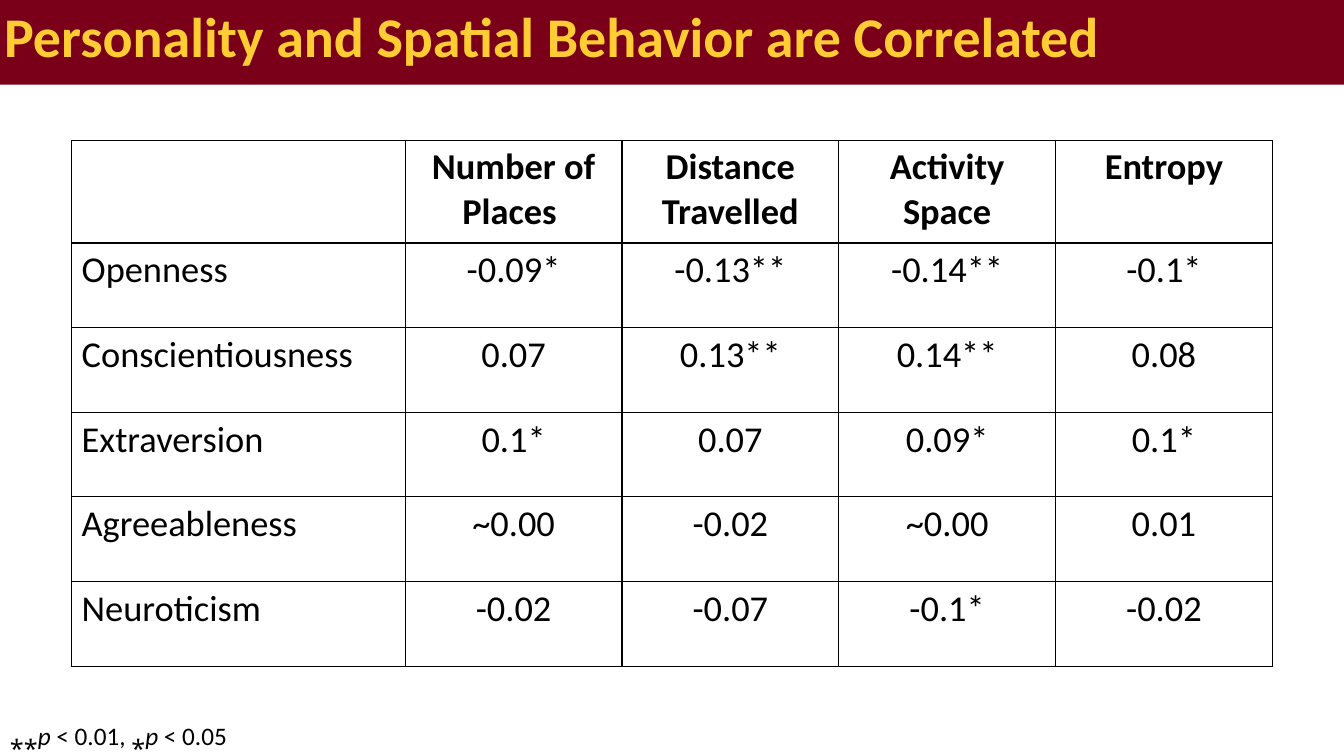
from dataclasses import dataclass

from lxml.etree import SubElement
from pptx import Presentation
from pptx.dml.color import RGBColor
from pptx.enum.text import MSO_ANCHOR, MSO_AUTO_SIZE, PP_ALIGN
from pptx.oxml.ns import qn
from pptx.slide import Slide
from pptx.table import _Cell
from pptx.text.text import _Run
from pptx.util import Emu, Pt

PX = 9144
FONT = "Calibri"
COLORS = {"bar": "7A0019", "title": "FFCC33", "ink": "000000"}
COLS = [331, 215, 215, 215, 215]
HEAD_H, ROW_H = 102, 84


@dataclass
class Trait:
    name: str
    values: list[str]


HEADS = Trait("", ["Number of Places ", "Distance Travelled", "Activity Space", "Entropy"])
TRAITS = [
    Trait("Openness", ["-0.09*", "-0.13**", "-0.14**", "-0.1*"]),
    Trait("Conscientiousness", ["0.07", "0.13**", "0.14**", "0.08"]),
    Trait("Extraversion", ["0.1*", "0.07", "0.09*", "0.1*"]),
    Trait("Agreeableness", ["~0.00", "-0.02", "~0.00", "0.01"]),
    Trait("Neuroticism", ["-0.02", "-0.07", "-0.1*", "-0.02"]),
]
NOTE = [("⁎⁎", False), ("p", True), (" < 0.01, ⁎", False), ("p", True), (" < 0.05", False)]


def px(n: int) -> Emu:
    return Emu(n * PX)


def color(name: str) -> RGBColor:
    return RGBColor.from_string(COLORS[name])


def style(run: _Run, size: int, ink: str = "ink", bold: bool = False, slant: bool = False) -> None:
    font = run.font
    font.name, font.size = FONT, Pt(size)
    font.bold, font.italic = bold, slant
    font.color.rgb = color(ink)


def border(cell: _Cell) -> None:
    props = cell._tc.get_or_add_tcPr()
    for spot, side in enumerate(("lnL", "lnR", "lnT", "lnB")):
        line = SubElement(props, qn(f"a:{side}"), w=str(Pt(1)))
        fill = SubElement(line, qn("a:solidFill"))
        SubElement(fill, qn("a:srgbClr"), val=COLORS["ink"])
        props.insert(spot, line)


def add_title(slide: Slide) -> None:
    title = slide.shapes.title
    title.left, title.top, title.width, title.height = map(px, (-3, -5, 1339, 89))
    title.fill.solid()
    title.fill.fore_color.rgb = color("bar")
    frame = title.text_frame
    frame.text = "Personality and Spatial Behavior are Correlated"
    frame.auto_size = MSO_AUTO_SIZE.NONE
    frame.word_wrap = True
    frame.vertical_anchor = MSO_ANCHOR.MIDDLE
    frame.margin_left = frame.margin_right = px(7)
    frame.margin_top = frame.margin_bottom = px(4)
    para = frame.paragraphs[0]
    para.alignment = PP_ALIGN.LEFT
    para.line_spacing = 0.9
    style(para.runs[0], 40, "title", bold=True)


def add_grid(slide: Slide) -> None:
    rows = [HEADS, *TRAITS]
    high = HEAD_H + ROW_H * len(TRAITS)
    box = map(px, (71, 139, sum(COLS), high))
    grid = slide.shapes.add_table(len(rows), len(COLS), *box).table
    grid.first_row = grid.horz_banding = False
    for col, wide in zip(grid.columns, COLS):
        col.width = px(wide)
    for r, trait in enumerate(rows):
        grid.rows[r].height = px(ROW_H if r else HEAD_H)
        for c, text in enumerate([trait.name, *trait.values]):
            cell = grid.cell(r, c)
            cell.fill.background()
            border(cell)
            cell.text = text
            para = cell.text_frame.paragraphs[0]
            para.alignment = PP_ALIGN.CENTER if c else PP_ALIGN.LEFT
            for run in para.runs:
                style(run, 26, bold=r == 0)


def add_note(slide: Slide) -> None:
    box = slide.shapes.add_textbox(*map(px, (0, 710, 667, 40)))
    frame = box.text_frame
    frame.word_wrap = True
    para = frame.paragraphs[0]
    for text, slant in NOTE:
        run = para.add_run()
        run.text = text
        style(run, 18, slant=slant)


def main() -> None:
    deck = Presentation()
    deck.slide_width, deck.slide_height = px(1333), px(750)
    slide = deck.slides.add_slide(deck.slide_layouts[5])
    add_note(slide)
    add_grid(slide)
    add_title(slide)
    deck.save("out.pptx")


if __name__ == "__main__":
    main()
